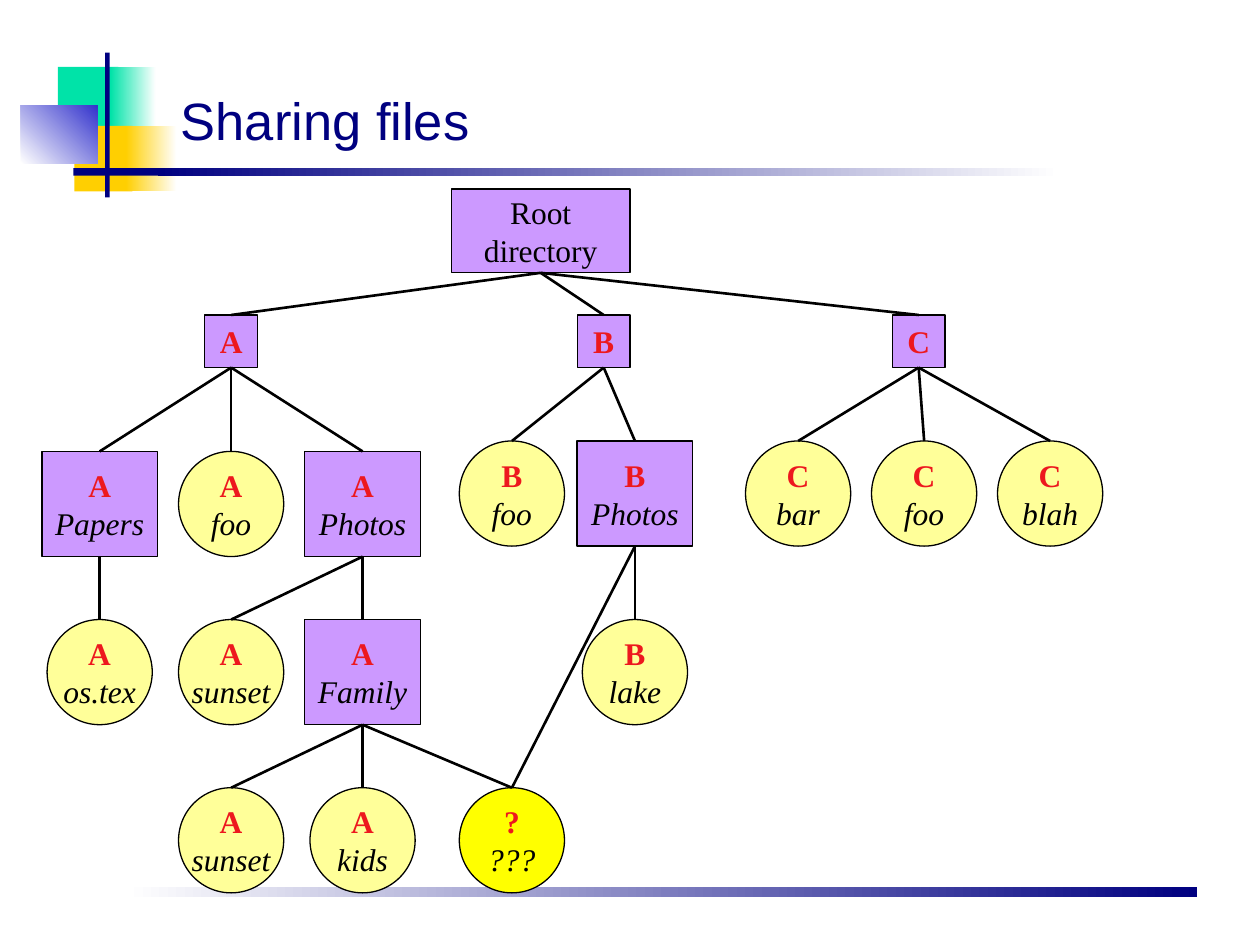
import dataclasses
import typing

import lxml.etree
import pptx
import pptx.dml.color
import pptx.enum.shapes
import pptx.enum.text
import pptx.oxml.ns
import pptx.util

Cm = pptx.util.Cm
Pt = pptx.util.Pt
RGB = pptx.dml.color.RGBColor.from_string
Preset = pptx.enum.shapes.MSO_SHAPE
Align = pptx.enum.text.PP_ALIGN
Anchor = pptx.enum.text.MSO_ANCHOR


@dataclasses.dataclass(frozen=True)
class Theme:
    navy: str = "000080"
    blue: str = "3333CC"
    green: str = "00E3A8"
    gold: str = "FFCF01"
    white: str = "FFFFFF"
    ink: str = "000000"
    owner: str = "ED181E"
    directory: str = "CC99FF"
    file: str = "FFFF99"
    shared: str = "FFFF00"
    title_font: str = "Arial"
    label_font: str = "Times New Roman"
    title_size: float = 30
    label_size: float = 18
    outline: float = 0.75
    branch: float = 1.5


THEME = Theme()


@dataclasses.dataclass(frozen=True)
class Band:
    left: float
    top: float
    width: float
    height: float
    colors: tuple[str, ...]
    angle: float = 0


@dataclasses.dataclass(frozen=True)
class Kind:
    preset: typing.Any
    fill: str
    width: float
    height: float
    split_paragraphs: bool = False


@dataclasses.dataclass(frozen=True)
class Node:
    key: str
    kind: Kind
    center: float
    top: float
    owner: str = ""
    name: str = ""
    parents: tuple[str, ...] = ()


ROOT = Kind(Preset.RECTANGLE, THEME.directory, 3.6, 1.69)
USER = Kind(Preset.RECTANGLE, THEME.directory, 1.06, 1.06)
FOLDER = Kind(Preset.RECTANGLE, THEME.directory, 2.33, 2.12, True)
FILE = Kind(Preset.OVAL, THEME.file, 2.12, 2.12)
SHARED = dataclasses.replace(FILE, fill=THEME.shared)

A_LEFT, A_MID, A_RIGHT = (2.01 + 2.65 * column for column in range(3))
B_LEFT, B_RIGHT = 10.32, 12.8
C_LEFT, C_MID, C_RIGHT = (16.09 + 2.54 * column for column in range(3))
ROOT_ROW, USER_ROW, UPPER_ROW, A_ROW, MIDDLE_ROW, LOWER_ROW = (
    3.81, 6.35, 8.89, 9.1, 12.49, 15.88)

BANDS = (
    Band(2.54, 17.88, 21.59, 0.2, (THEME.white, THEME.navy)),
    Band(1.17, 1.35, 1.22, 1.32, (THEME.green,)),
    Band(2.23, 1.35, 0.91, 1.32, (THEME.green, THEME.white)),
    Band(1.5, 2.54, 1.17, 1.32, (THEME.gold,)),
    Band(2.54, 2.54, 1.02, 1.32, (THEME.gold, THEME.white)),
    Band(0.42, 2.12, 1.55, 1.17, (THEME.white, THEME.blue), 45),
    Band(2.12, 1.06, 0.09, 2.92, (THEME.navy,)),
    Band(1.48, 3.39, 1.91, 0.15, (THEME.navy,)),
    Band(3.18, 3.39, 18.19, 0.15, (THEME.navy, THEME.white)),
)

NODES = (
    Node("root", ROOT, 10.9, ROOT_ROW, name="Root\ndirectory"),
    Node("a", USER, A_MID, USER_ROW, "A", parents=("root",)),
    Node("b", USER, 12.17, USER_ROW, "B", parents=("root",)),
    Node("c", USER, 18.52, USER_ROW, "C", parents=("root",)),
    Node("a papers", FOLDER, A_LEFT, A_ROW, "A", "Papers", ("a",)),
    Node("a foo", FILE, A_MID, A_ROW, "A", "foo", ("a",)),
    Node("a photos", FOLDER, A_RIGHT, A_ROW, "A", "Photos", ("a",)),
    Node("b foo", FILE, B_LEFT, UPPER_ROW, "B", "foo", ("b",)),
    Node("b photos", FOLDER, B_RIGHT, UPPER_ROW, "B", "Photos", ("b",)),
    Node("c bar", FILE, C_LEFT, UPPER_ROW, "C", "bar", ("c",)),
    Node("c foo", FILE, C_MID, UPPER_ROW, "C", "foo", ("c",)),
    Node("c blah", FILE, C_RIGHT, UPPER_ROW, "C", "blah", ("c",)),
    Node("a os.tex", FILE, A_LEFT, MIDDLE_ROW, "A", "os.tex", ("a papers",)),
    Node("a sunset", FILE, A_MID, MIDDLE_ROW, "A", "sunset", ("a photos",)),
    Node("a family", FOLDER, A_RIGHT, MIDDLE_ROW, "A", "Family", ("a photos",)),
    Node("family sunset", FILE, A_MID, LOWER_ROW, "A", "sunset", ("a family",)),
    Node("family kids", FILE, A_RIGHT, LOWER_ROW, "A", "kids", ("a family",)),
    Node("shared", SHARED, B_LEFT, LOWER_ROW, "?", "???", ("a family", "b photos")),
    Node("b lake", FILE, B_RIGHT, MIDDLE_ROW, "B", "lake", ("b photos",)),
)


def apply(target: typing.Any, values: dict[str, typing.Any]) -> None:
    for attribute, value in values.items():
        setattr(target, attribute, value)


def style_font(font: typing.Any, color: str, **values: typing.Any) -> None:
    apply(font, {"name": THEME.label_font, "size": Pt(THEME.label_size), **values})
    font.color.rgb = RGB(color)


def draw_band(shapes: typing.Any, band: Band) -> None:
    bar = shapes.add_shape(Preset.RECTANGLE, Cm(band.left), Cm(band.top),
                           Cm(band.width), Cm(band.height))
    bar.shadow.inherit = False
    bar.line.fill.background()
    if len(band.colors) == 1:
        bar.fill.solid()
        bar.fill.fore_color.rgb = RGB(band.colors[0])
        return
    bar.fill.gradient()
    bar.fill.gradient_angle = band.angle
    for position, (stop, color) in enumerate(zip(bar.fill.gradient_stops, band.colors)):
        stop.position = position
        stop.color.rgb = RGB(color)


def write_label(frame: typing.Any, node: Node) -> None:
    apply(frame, {"word_wrap": False, "vertical_anchor": Anchor.MIDDLE})
    paragraph = frame.paragraphs[0]
    if node.owner:
        owner = paragraph.add_run()
        owner.text = node.owner
        style_font(owner.font, THEME.owner, bold=True)
    if node.owner and node.name:
        if node.kind.split_paragraphs:
            paragraph = frame.add_paragraph()
        else:
            paragraph.add_line_break()
    for index, line in enumerate(node.name.splitlines()):
        if index:
            paragraph.add_line_break()
        name = paragraph.add_run()
        name.text = line
        style_font(name.font, THEME.ink, bold=False, italic=bool(node.owner))
    for paragraph in frame.paragraphs:
        paragraph.alignment = Align.CENTER


def draw_node(shapes: typing.Any, node: Node) -> typing.Any:
    kind = node.kind
    box = shapes.add_shape(kind.preset, Cm(node.center - kind.width / 2), Cm(node.top),
                           Cm(kind.width), Cm(kind.height))
    box.shadow.inherit = False
    box.fill.solid()
    box.fill.fore_color.rgb = RGB(kind.fill)
    box.line.color.rgb = RGB(THEME.ink)
    box.line.width = Pt(THEME.outline)
    write_label(box.text_frame, node)
    return box


def draw_branch(shapes: typing.Any, parent: typing.Any, child: typing.Any) -> None:
    branch = shapes.add_connector(pptx.enum.shapes.MSO_CONNECTOR.STRAIGHT, 0, 0, 0, 0)
    branch.begin_connect(parent, 2)
    branch.end_connect(child, 0)
    branch.line.color.rgb = RGB(THEME.ink)
    branch.line.width = Pt(THEME.branch)
    lxml.etree.SubElement(branch._element.spPr, pptx.oxml.ns.qn("a:effectLst"))


def write_title(title: typing.Any) -> None:
    apply(title, {"left": Cm(3.39), "top": Cm(1.48), "width": Cm(21.59), "height": Cm(1.69)})
    title.text_frame.text = "Sharing files"
    apply(title.text_frame, {"vertical_anchor": Anchor.BOTTOM, "word_wrap": True,
                             "auto_size": pptx.enum.text.MSO_AUTO_SIZE.NONE})
    heading = title.text_frame.paragraphs[0]
    heading.alignment = Align.LEFT
    style_font(heading.runs[0].font, THEME.navy, name=THEME.title_font,
               size=Pt(THEME.title_size))


def main() -> None:
    deck = pptx.Presentation()
    apply(deck, {"slide_width": Cm(25.4), "slide_height": Cm(19.05)})
    slide = deck.slides.add_slide(deck.slide_layouts[5])
    write_title(slide.shapes.title)
    for band in BANDS:
        draw_band(slide.shapes, band)
    drawn: dict[str, typing.Any] = {}
    for node in NODES:
        drawn[node.key] = draw_node(slide.shapes, node)
        for parent in node.parents:
            draw_branch(slide.shapes, drawn[parent], drawn[node.key])
    deck.save("out.pptx")


if __name__ == "__main__":
    main()
